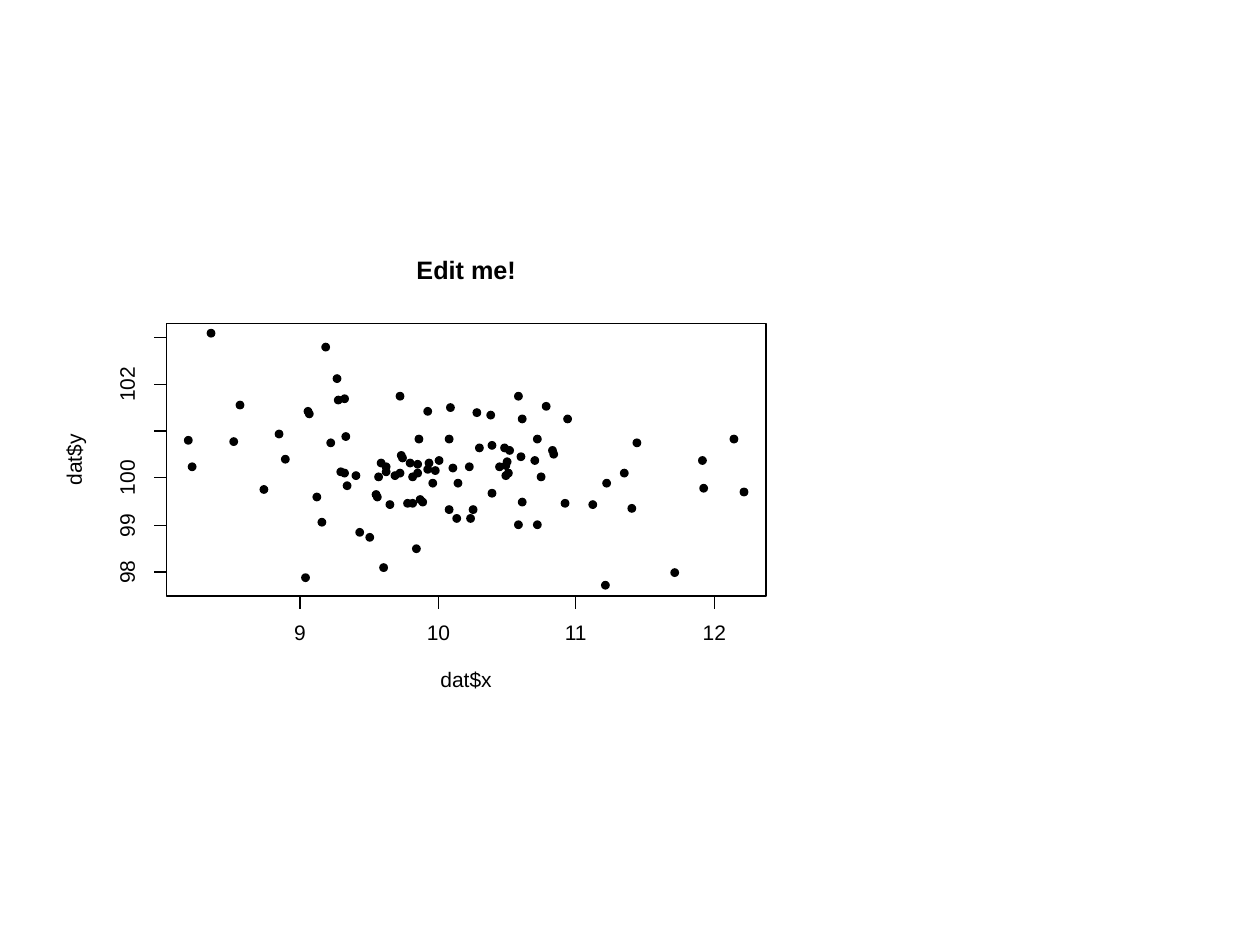
from lxml.etree import SubElement
from pptx import Presentation
from pptx.dml.color import RGBColor
from pptx.enum.shapes import MSO_CONNECTOR, MSO_SHAPE
from pptx.enum.text import MSO_ANCHOR, PP_ALIGN
from pptx.oxml.ns import qn
from pptx.util import Pt

PX = 9144
COLORS = {"paper": "FFFFFF", "ink": "000000"}
INK = RGBColor.from_string(COLORS["ink"])
PAPER = RGBColor.from_string(COLORS["paper"])

DOT = 7
DOTS = [
    (375, 324), (411, 395), (239, 455), (400, 372), (296, 391), (267, 371), (264, 297), (436, 357),
    (421, 362), (359, 408), (502, 348), (327, 432), (377, 352), (408, 413), (401, 354), (322, 364),
    (356, 368), (430, 319), (259, 348), (423, 413), (187, 318), (447, 329), (290, 423), (271, 343),
    (301, 447), (223, 361), (295, 389), (303, 367), (297, 375), (342, 370), (398, 374), (146, 346),
    (324, 375), (426, 375), (336, 369), (445, 396), (345, 362), (310, 374), (270, 372), (272, 382),
    (397, 352), (398, 366), (435, 354), (299, 364), (372, 401), (555, 384), (252, 411), (410, 359),
    (332, 395), (206, 385), (399, 363), (218, 341), (316, 360), (411, 329), (467, 397), (554, 362),
    (386, 326), (370, 408), (492, 372), (248, 391), (279, 374), (587, 387), (329, 345), (353, 401),
    (164, 261), (336, 323), (303, 371), (241, 323), (255, 272), (387, 388), (579, 345), (353, 345),
    (354, 320), (324, 396), (314, 311), (387, 350), (369, 367), (242, 325), (314, 372), (340, 380),
    (423, 345), (270, 313), (532, 451), (328, 372), (393, 367), (477, 461), (360, 380), (408, 311),
    (265, 314), (478, 380), (315, 358), (306, 397), (149, 367), (498, 400), (320, 396), (328, 365),
    (282, 419), (330, 393), (337, 364), (182, 347),
]

LEFT, TOP, RIGHT, BOTTOM = 132, 257, 608, 473
TICK = 10
DIGIT = 10
X_TICKS = {value: round(238 + 109.6 * (value - 9)) for value in range(9, 13)}
Y_TICKS = {value: round(454 - 37.3 * (value - 98)) for value in range(98, 104)}
Y_LABELED = (98, 99, 100, 102)


def format_label(label, text, center_x, center_y, width, height, size=12, rotation=0):
    label.left, label.top = int((center_x - width / 2) * PX), int((center_y - height / 2) * PX)
    label.width, label.height = width * PX, height * PX
    label.rotation = rotation
    frame = label.text_frame
    frame.margin_left = frame.margin_right = frame.margin_top = frame.margin_bottom = 0
    frame.vertical_anchor = MSO_ANCHOR.MIDDLE
    frame.word_wrap = False
    frame.text = text
    paragraph = frame.paragraphs[0]
    paragraph.alignment = PP_ALIGN.CENTER
    paragraph.line_spacing = Pt(size)
    paragraph.space_before = Pt(0)
    font = paragraph.font
    font.name, font.size = "Arial", Pt(size)
    font.color.rgb = INK
    return font


def add_line(x1, y1, x2, y2):
    line = shapes.add_connector(MSO_CONNECTOR.STRAIGHT, x1 * PX, y1 * PX, x2 * PX, y2 * PX)
    line.line.color.rgb = INK
    line.line.width = Pt(0.75)
    SubElement(line.element.spPr, qn("a:effectLst"))


deck = Presentation()
deck.slide_width, deck.slide_height = 1000 * PX, 750 * PX
slide = deck.slides.add_slide(deck.slide_layouts[5])
shapes = slide.shapes

panel = shapes.add_shape(MSO_SHAPE.RECTANGLE, 50 * PX, 175 * PX, 600 * PX, 400 * PX)
panel.shadow.inherit = False
panel.fill.solid()
panel.fill.fore_color.rgb = PAPER
panel.line.color.rgb = PAPER
panel.line.width = Pt(0.75)

for x, y in DOTS:
    dot = shapes.add_shape(MSO_SHAPE.OVAL, x * PX, y * PX, DOT * PX, DOT * PX)
    dot.shadow.inherit = False
    dot.fill.solid()
    dot.fill.fore_color.rgb = INK
    dot.line.fill.background()

add_line(X_TICKS[9], BOTTOM, X_TICKS[12], BOTTOM)
for value, x in X_TICKS.items():
    add_line(x, BOTTOM, x, BOTTOM + TICK)
    format_label(shapes.add_textbox(0, 0, 0, 0), str(value), x, 503, DIGIT * len(str(value)), 12)

add_line(LEFT, Y_TICKS[98], LEFT, Y_TICKS[103])
for value, y in Y_TICKS.items():
    add_line(LEFT, y, LEFT - TICK, y)
    if value in Y_LABELED:
        format_label(shapes.add_textbox(0, 0, 0, 0), str(value), 102, y, DIGIT * len(str(value)), 12, rotation=270)

plot_frame = shapes.add_shape(
    MSO_SHAPE.RECTANGLE, LEFT * PX, TOP * PX, (RIGHT - LEFT) * PX, (BOTTOM - TOP) * PX)
plot_frame.shadow.inherit = False
plot_frame.fill.background()
plot_frame.line.color.rgb = INK
plot_frame.line.width = Pt(0.75)

title = shapes.title
title.element.getparent().append(title.element)
format_label(title, "Edit me!", 370, 216, 84, 14, size=14.4).bold = True
format_label(shapes.add_textbox(0, 0, 0, 0), "dat$x", 370, 541, 44, 15)
format_label(shapes.add_textbox(0, 0, 0, 0), "dat$y", 60, 365, 44, 17, rotation=270)

deck.save("out.pptx")
